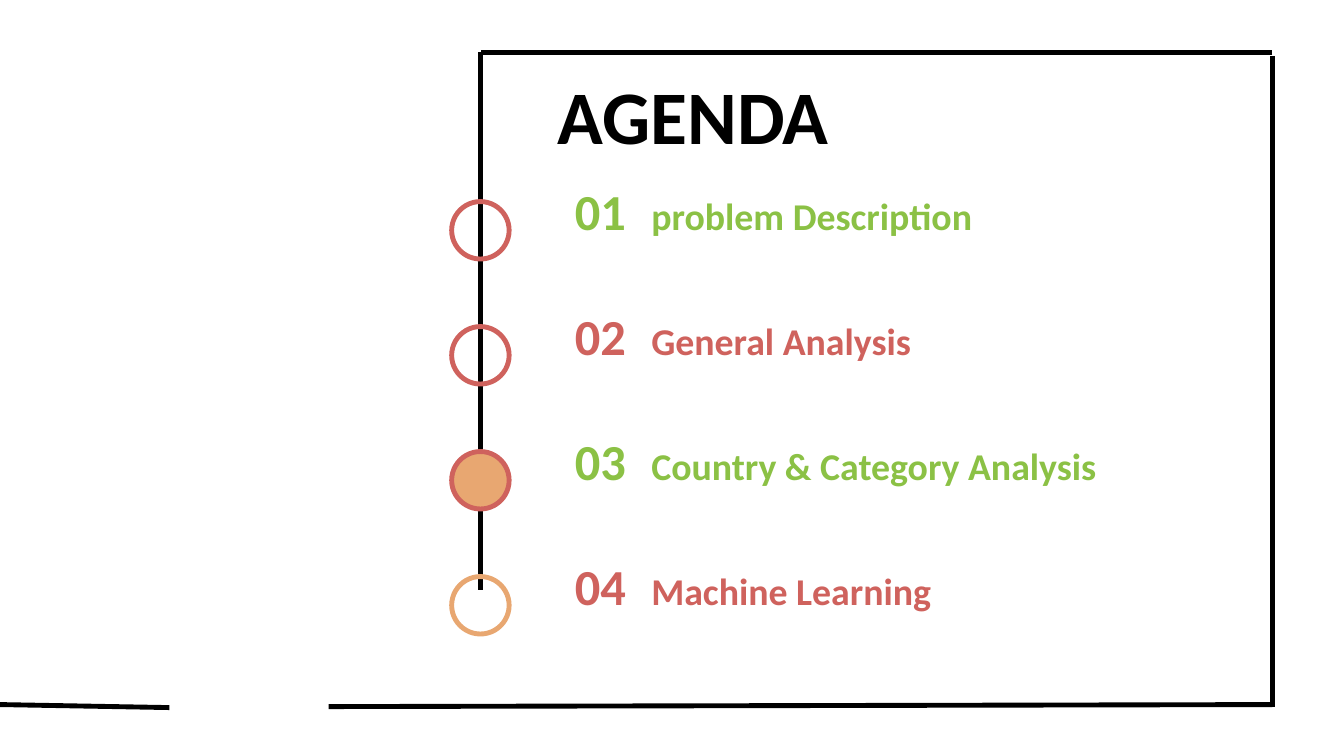
from dataclasses import dataclass
from typing import Optional

import pptx
import pptx.dml.color
import pptx.enum.shapes
import pptx.enum.text
import pptx.oxml.ns
import pptx.shapes.shapetree
import pptx.util
from lxml import etree

Inches = pptx.util.Inches
Color = pptx.dml.color.RGBColor
Align = pptx.enum.text.PP_ALIGN
Anchor = pptx.enum.text.MSO_ANCHOR


@dataclass(frozen=True)
class Theme:
    black: Color = Color.from_string("000000")
    green: Color = Color.from_string("8BC145")
    red: Color = Color.from_string("CF625D")
    orange: Color = Color.from_string("E8A771")
    font: str = "Calibri"
    title_size: int = 54
    number_size: int = 36
    topic_size: int = 27
    stroke: float = 3.5


@dataclass(frozen=True)
class Segment:
    x1: float
    y1: float
    x2: float
    y2: float


@dataclass(frozen=True)
class Box:
    left: float
    top: float
    width: float
    height: float


@dataclass(frozen=True)
class AgendaItem:
    topic: str
    text_color: Color
    ring_color: Color
    ring_fill: Optional[Color] = None


THEME = Theme()

FRAME = [
    Segment(4.77, 5.85, 4.77, 0.52),
    Segment(12.62, 0.52, 4.77, 0.52),
    Segment(12.62, 7.01, 12.62, 0.56),
    Segment(12.62, 6.99, 3.26, 7.01),
    Segment(1.68, 7.02, 0, 6.99),
]

AGENDA = [
    AgendaItem("problem Description", THEME.green, THEME.red),
    AgendaItem("General Analysis", THEME.red, THEME.red),
    AgendaItem("Country & Category Analysis", THEME.green, THEME.red, THEME.orange),
    AgendaItem("Machine Learning", THEME.red, THEME.orange),
]

FIRST_RING_TOP = 2.0
ITEM_PITCH = 1.24
RING_LEFT = 4.48
RING_SIZE = 0.57

Shapes = pptx.shapes.shapetree.SlideShapes
ShapeTree = pptx.shapes.shapetree.SlideShapes | pptx.shapes.shapetree.GroupShapes


def draw_segment(shapes: ShapeTree, segment: Segment) -> None:
    line = shapes.add_connector(
        pptx.enum.shapes.MSO_CONNECTOR.STRAIGHT,
        Inches(segment.x1), Inches(segment.y1),
        Inches(segment.x2), Inches(segment.y2),
    )
    line.line.color.rgb = THEME.black
    line.line.width = pptx.util.Pt(THEME.stroke)
    properties = line.element.find(pptx.oxml.ns.qn("p:spPr"))
    etree.SubElement(properties, pptx.oxml.ns.qn("a:effectLst"))


def draw_ring(shapes: ShapeTree, top: float, item: AgendaItem) -> None:
    ring = shapes.add_shape(
        pptx.enum.shapes.MSO_SHAPE.OVAL,
        Inches(RING_LEFT), Inches(top), Inches(RING_SIZE), Inches(RING_SIZE),
    )
    ring.shadow.inherit = False
    ring.line.color.rgb = item.ring_color
    ring.line.width = pptx.util.Pt(THEME.stroke)
    if item.ring_fill is None:
        ring.fill.background()
    else:
        ring.fill.solid()
        ring.fill.fore_color.rgb = item.ring_fill


def draw_text(
    shapes: ShapeTree,
    text: str,
    box: Box,
    size: int,
    color: Color,
    side_margin: float = 0.12,
    align: Align = Align.LEFT,
    anchor: Anchor = Anchor.TOP,
) -> None:
    label = shapes.add_textbox(
        Inches(box.left), Inches(box.top), Inches(box.width), Inches(box.height)
    )
    frame = label.text_frame
    frame.text = text
    frame.word_wrap = True
    frame.auto_size = pptx.enum.text.MSO_AUTO_SIZE.SHAPE_TO_FIT_TEXT
    frame.vertical_anchor = anchor
    frame.margin_left = frame.margin_right = Inches(side_margin)
    frame.margin_top = frame.margin_bottom = Inches(0.05)
    paragraph = frame.paragraphs[0]
    paragraph.alignment = align
    font = paragraph.runs[0].font
    font.name = THEME.font
    font.size = pptx.util.Pt(size)
    font.bold = True
    font.color.rgb = color


def draw_item(shapes: Shapes, number: int, ring_top: float, item: AgendaItem) -> None:
    """Group the topic with its two-digit number, beside its ring."""
    entry = shapes.add_group_shape().shapes
    draw_text(entry, item.topic, Box(6.34, ring_top - 0.14, 4.93, 0.56),
              THEME.topic_size, item.text_color)
    draw_text(entry, f"{number:02d}", Box(5.43, ring_top - 0.26, 1.05, 0.71),
              THEME.number_size, item.text_color, align=Align.CENTER)


def main() -> None:
    deck = pptx.Presentation()
    deck.slide_width = Inches(13.33)
    deck.slide_height = Inches(7.5)
    shapes = deck.slides.add_slide(deck.slide_layouts[6]).shapes

    frame = shapes.add_group_shape().shapes
    for segment in FRAME:
        draw_segment(frame, segment)

    ring_tops = [FIRST_RING_TOP + index * ITEM_PITCH for index in range(len(AGENDA))]
    for top, item in zip(ring_tops, AGENDA):
        draw_ring(shapes, top, item)
    for number, (top, item) in enumerate(zip(ring_tops, AGENDA), start=1):
        draw_item(shapes, number, top, item)

    draw_text(shapes, "AGENDA", Box(5.43, 0.63, 6.79, 1.01), THEME.title_size,
              THEME.black, side_margin=0.1, anchor=Anchor.MIDDLE)
    deck.save("out.pptx")


if __name__ == "__main__":
    main()
